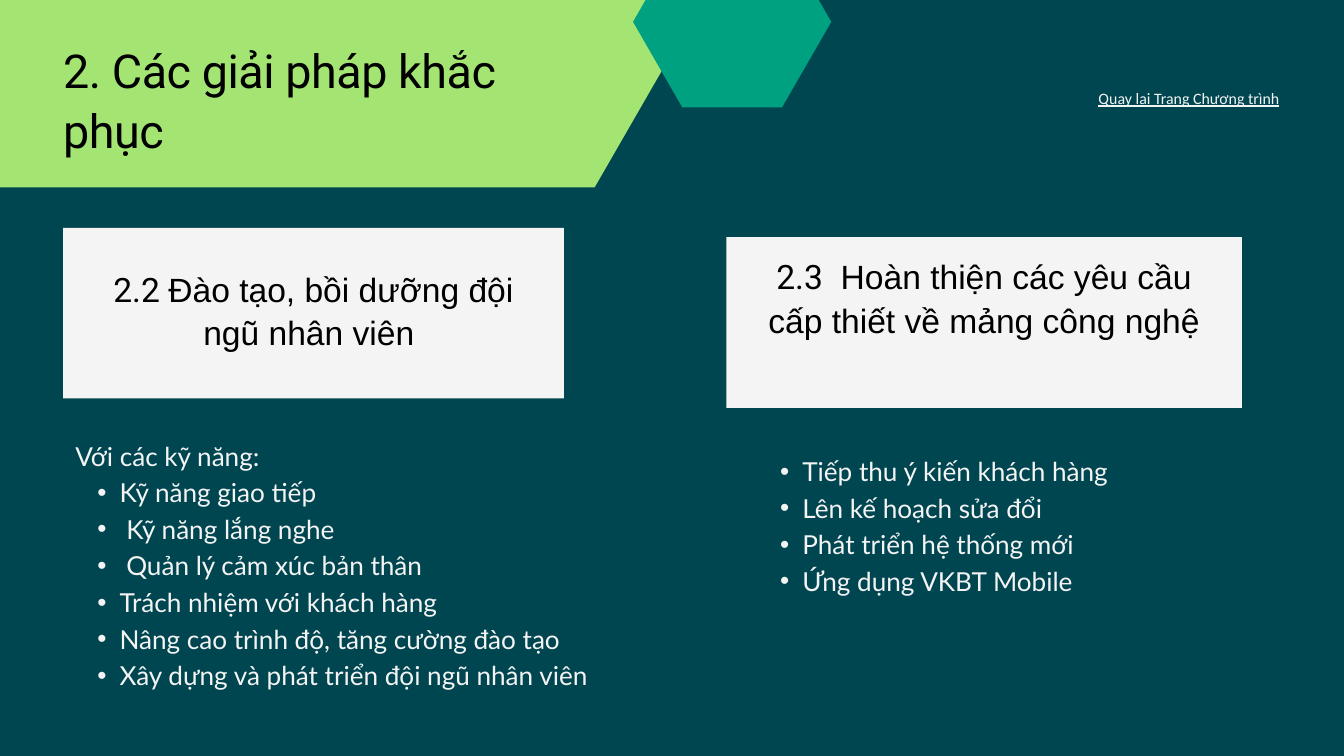
from lxml import etree
from pptx import Presentation
from pptx.dml.color import RGBColor
from pptx.enum import shapes, text
from pptx.oxml import ns
from pptx.util import Inches, Pt

DARK_TEAL = RGBColor(0x00, 0x46, 0x51)
LIME = RGBColor(0xA4, 0xE4, 0x73)
GREEN = RGBColor(0x00, 0xA1, 0x81)
PALE = RGBColor(0xF4, 0xF4, 0xF4)
BLACK = RGBColor(0, 0, 0)

LEFT, CENTER, RIGHT = text.PP_ALIGN.LEFT, text.PP_ALIGN.CENTER, text.PP_ALIGN.RIGHT
TOP, MIDDLE = text.MSO_ANCHOR.TOP, text.MSO_ANCHOR.MIDDLE
HEXAGON_SLANT = 0.288

SKILLS = [
    "Kỹ năng giao tiếp",
    " Kỹ năng lắng nghe",
    " Quản lý cảm xúc bản thân",
    "Trách nhiệm với khách hàng",
    "Nâng cao trình độ, tăng cường đào tạo",
    "Xây dựng và phát triển đội ngũ nhân viên",
]
TECHNOLOGY = [
    "Tiếp thu ý kiến khách hàng",
    "Lên kế hoạch sửa đổi",
    "Phát triển hệ thống mới",
    "Ứng dụng VKBT Mobile",
]


def add_span(para, words, font, size, color, underline=None, tracking=None):
    span = para.add_run()
    span.text = words
    span.font.name = font
    span.font.size = Pt(size)
    span.font.color.rgb = color
    span.font.underline = underline
    if tracking is not None:
        span.font._element.set("spc", str(int(tracking * 100)))


def format_para(para, spacing, align=LEFT):
    para.alignment = align
    para.line_spacing = Pt(spacing)
    para.space_before = para.space_after = Pt(0)


def set_bullet(para, bulleted):
    props = para._p.get_or_add_pPr()
    props.set("marL", str(Inches(0.66 if bulleted else 0)))
    props.set("indent", str(Inches(-0.33 if bulleted else 0)))
    mark = etree.SubElement(props, ns.qn("a:buChar" if bulleted else "a:buNone"))
    if bulleted:
        para.level = 1
        mark.set("char", "•")


def prepare_frame(shape, anchor=TOP, insets=(0, 0, 0, 0)):
    """Set wrapping, anchor and insets (left, top, right, bottom); return the text frame."""
    frame = shape.text_frame
    frame.word_wrap = True
    frame.auto_size = text.MSO_AUTO_SIZE.NONE
    frame.vertical_anchor = anchor
    (frame.margin_left, frame.margin_top,
     frame.margin_right, frame.margin_bottom) = map(Inches, insets)
    return frame


class SlideBuilder:
    def __init__(self, deck):
        self.slide = deck.slides.add_slide(deck.slide_layouts[3])
        fill = self.slide.background.fill
        fill.solid()
        fill.fore_color.rgb = DARK_TEAL

    def shape(self, kind, bounds, color):
        shape = self.slide.shapes.add_shape(kind, *map(Inches, bounds))
        shape.shadow.inherit = False
        shape.fill.solid()
        shape.fill.fore_color.rgb = color
        shape.line.fill.background()
        return shape

    def hexagon(self, bounds, color):
        self.shape(shapes.MSO_SHAPE.HEXAGON, bounds, color).adjustments[0] = HEXAGON_SLANT

    def card(self, bounds, number, heading, bottom_inset):
        card = self.shape(shapes.MSO_SHAPE.RECTANGLE, bounds, PALE)
        para = prepare_frame(card, MIDDLE, (0.28, 0.15, 0.28, bottom_inset)).paragraphs[0]
        format_para(para, 46.8, CENTER)
        add_span(para, number, "Roboto", 36, BLACK)
        add_span(para, heading, "Arial", 36, BLACK)

    def placeholder(self, index, bounds):
        """Place a template placeholder in front of the shapes drawn so far."""
        box = self.slide.placeholders[index]
        box.left, box.top, box.width, box.height = map(Inches, bounds)
        self.slide.shapes._spTree.append(box._element)
        return prepare_frame(box)

    def title(self, bounds, words):
        para = self.placeholder(0, bounds).paragraphs[0]
        format_para(para, 65)
        add_span(para, words, "Roboto", 50, BLACK, tracking=-0.5)

    def bullet_list(self, index, bounds, items, intro=None):
        frame = self.placeholder(index, bounds)
        lines = [(intro, False)] if intro else []
        lines += [(item, True) for item in items]
        for position, (words, bulleted) in enumerate(lines):
            para = frame.add_paragraph() if position else frame.paragraphs[0]
            format_para(para, 39.2)
            set_bullet(para, bulleted)
            add_span(para, words, "Lato", 28, PALE)

    def back_label(self, bounds, words):
        box = self.slide.shapes.add_textbox(*map(Inches, bounds))
        para = prepare_frame(box).paragraphs[0]
        format_para(para, 23.8, RIGHT)
        add_span(para, words, "Calibri", 17, PALE, underline=True)


def main():
    deck = Presentation()
    deck.slide_width, deck.slide_height = Inches(20), Inches(11.25)
    page = SlideBuilder(deck)

    page.hexagon((-3.19, -4.02, 14, 6.81), LIME)
    page.hexagon((9.42, -0.95, 2.95, 2.55), GREEN)
    page.title((0.94, 0.55, 6.45, 1.76), "2. Các giải pháp khắc phục")
    page.back_label((15.82, 1.27, 3.22, 0.3), "Quay lại Trang Chương trình")

    page.card((0.94, 3.39, 7.45, 2.54), "2.2 ",
              "Đào tạo, bồi dưỡng đội ngũ nhân viên ", bottom_inset=0.28)
    page.card((10.81, 3.53, 7.67, 2.54), "2.3 ",
              " Hoàn thiện các yêu cầu cấp thiết về mảng công nghệ", bottom_inset=0.93)

    page.bullet_list(1, (1.12, 6.47, 8.08, 4.5), SKILLS, intro="Với các kỹ năng:")
    page.bullet_list(2, (11.28, 6.7, 6.77, 3.24), TECHNOLOGY)

    deck.save("out.pptx")


if __name__ == "__main__":
    main()
